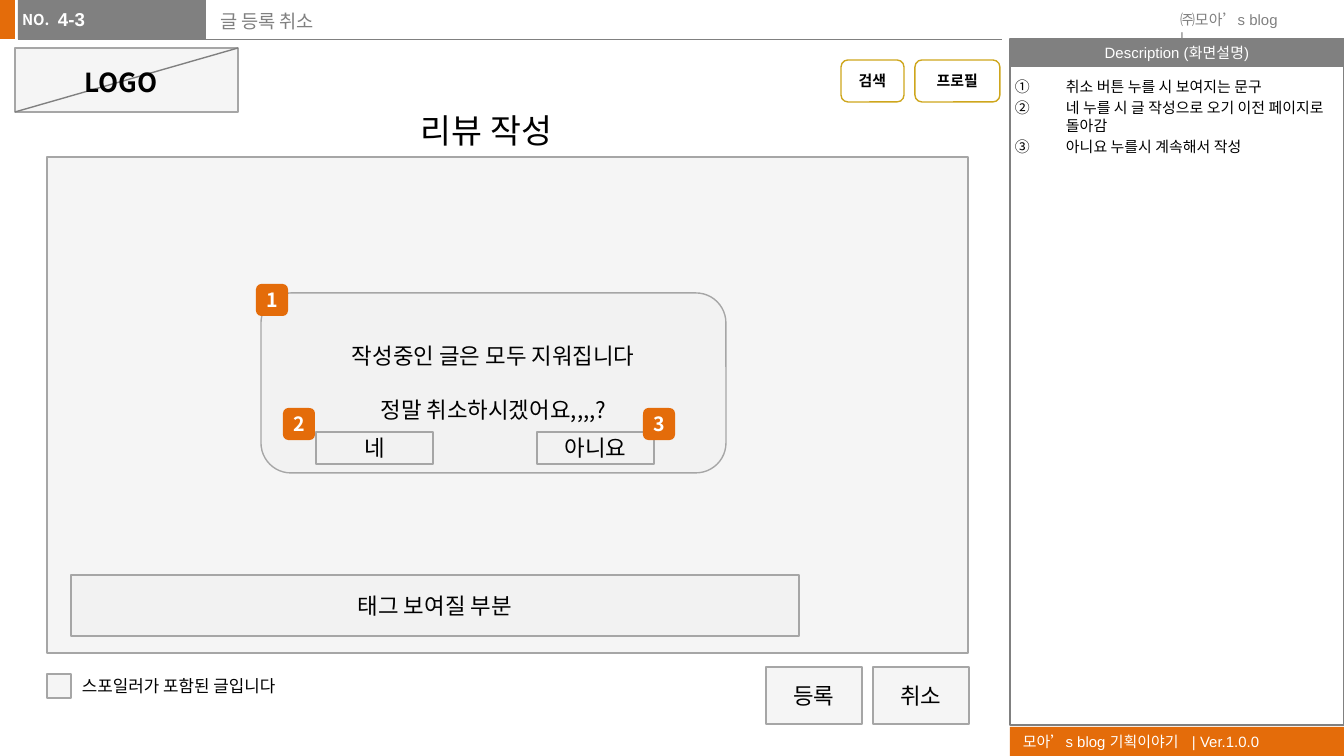
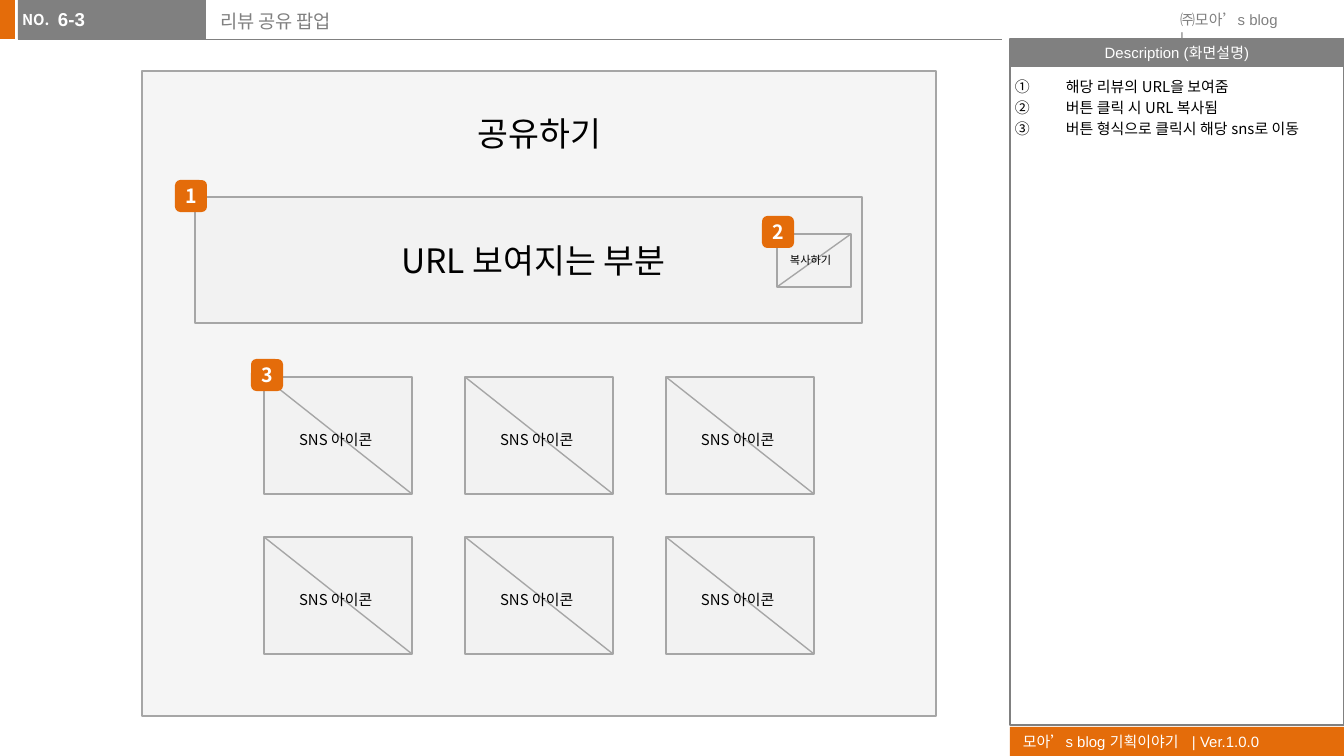
from lxml import etree
from pptx import Presentation
from pptx.dml.color import RGBColor
from pptx.enum.shapes import MSO_CONNECTOR, MSO_SHAPE
from pptx.enum.text import MSO_ANCHOR, MSO_AUTO_SIZE, PP_ALIGN
from pptx.oxml.ns import qn
from pptx.util import Pt

PX = 914400 / 134.4
WIDTH, HEIGHT = 1344, 756
LEFT, CENTER = PP_ALIGN.LEFT, PP_ALIGN.CENTER
TOP, MIDDLE = MSO_ANCHOR.TOP, MSO_ANCHOR.MIDDLE
NO_FIT, GROW = MSO_AUTO_SIZE.NONE, MSO_AUTO_SIZE.SHAPE_TO_FIT_TEXT
RECT, ROUND = MSO_SHAPE.RECTANGLE, MSO_SHAPE.ROUNDED_RECTANGLE
STRAIGHT = MSO_CONNECTOR.STRAIGHT
TWO_CONTENT = 3

ORANGE = RGBColor(0xE4, 0x6C, 0x0A)
GRAY = RGBColor(0x80, 0x80, 0x80)
PALE = RGBColor(0xF2, 0xF2, 0xF2)
EDGE = RGBColor(0xA6, 0xA6, 0xA6)
GOLD = RGBColor(0xCE, 0xA6, 0x1D)
BLACK = RGBColor(0, 0, 0)
WHITE = RGBColor(0xFF, 0xFF, 0xFF)
KOREAN, LATIN = "Noto Sans CJK KR", "Arial"

DESC_LEFT, DESC_WIDTH = 1010, 334
BADGE = 32


def emu(px):
    return round(px * PX)


def emus(*lengths):
    return [emu(px) for px in lengths]


class Wireframe:
    """Holds the presentation, the shared style and the current slide."""

    def __init__(self):
        self.prs = Presentation()
        self.prs.slide_width, self.prs.slide_height = emus(WIDTH, HEIGHT)
        self.s = None

    def new_slide(self, number, title, notes):
        self.s = self.prs.slides.add_slide(self.prs.slide_layouts[TWO_CONTENT])
        self.frame()
        self.placeholder(1, (DESC_LEFT, 71, DESC_WIDTH, 656), notes, 8, BLACK,
                         insets=(5, 7, 0, 7), numbered=True)
        self.placeholder(0, (207, 3, 794, 43), [title], 10, GRAY)
        self.placeholder(2, (58, 1, 148, 42), [number], 10, WHITE,
                         font=LATIN, bold=True, insets=(0, 7, 0, 7))

    def frame(self):
        """Header, description panel and footer found on every slide."""
        self.shape((0, 0, 15, 39), fill=ORANGE)
        footer = self.shape((DESC_LEFT, 727, DESC_WIDTH, 29), "모아’s blog 기획이야기\t| Ver.1.0.0",
                            size=8, color=WHITE, font=LATIN, align=LEFT, fill=ORANGE)
        pPr = footer.text_frame.paragraphs[0]._p.get_or_add_pPr()
        tabs = etree.SubElement(pPr, qn("a:tabLst"))
        etree.SubElement(tabs, qn("a:tab"), pos=str(emu(169)), algn="l")
        self.line((18, 39), (1002, 39), GRAY, 0.5)
        self.shape((18, 0, 188, 39), fill=GRAY)
        self.text((9, 4, 55, 32), "NO.", 8, WHITE, bold=True, wrap=False)
        self.text((1167, 4, 128, 32), "㈜모아’s blog |", 8, GRAY, font=LATIN, wrap=False)
        self.shape((DESC_LEFT, 39, DESC_WIDTH, 28), "Description (화면설명)",
                   size=8, color=WHITE, font=LATIN, fill=GRAY)
        self.shape((DESC_LEFT, 39, DESC_WIDTH, 686), edge=GRAY)

    def fill_text(self, tf, lines, size, color, font=KOREAN, bold=False, align=LEFT,
                  anchor=TOP, gap=0, insets=(13, 7, 13, 7)):
        tf.word_wrap = True
        tf.vertical_anchor = anchor
        tf.margin_left, tf.margin_top, tf.margin_right, tf.margin_bottom = emus(*insets)
        tf.text = "\n".join(lines)
        for i, p in enumerate(tf.paragraphs):
            p.alignment = align
            p.space_before = Pt(gap if i else 0)
            for r in p.runs:
                r.font.name, r.font.size, r.font.bold = font, Pt(size), bold
                r.font.color.rgb = color
                etree.SubElement(r._r.get_or_add_rPr(), qn("a:ea"), typeface=KOREAN)

    def placeholder(self, idx, box, lines, size, color, numbered=False, **style):
        """Fill a template placeholder and bring it in front of the frame."""
        sp = self.s.placeholders[idx]
        sp.left, sp.top, sp.width, sp.height = emus(*box)
        self.fill_text(sp.text_frame, lines, size, color, gap=1.6, **style)
        sp.text_frame.auto_size = NO_FIT
        for p in sp.text_frame.paragraphs:
            pPr = p._p.get_or_add_pPr()
            indent = emu(51) if numbered else 0
            pPr.set("marL", str(indent))
            pPr.set("indent", str(-indent))
            if numbered:
                etree.SubElement(pPr, qn("a:buFont"), typeface=KOREAN)
                etree.SubElement(pPr, qn("a:buAutoNum"), type="circleNumDbPlain")
            else:
                etree.SubElement(pPr, qn("a:buNone"))
        self.s.shapes._spTree.append(sp._element)

    def shape(self, box, *lines, kind=RECT, fill=None, edge=None, width=0.75,
              size=12, color=BLACK, align=CENTER, **style):
        sp = self.s.shapes.add_shape(kind, *emus(*box))
        sp.shadow.inherit = False
        if fill is None:
            sp.fill.background()
        else:
            sp.fill.solid()
            sp.fill.fore_color.rgb = fill
        if edge is None:
            sp.line.fill.background()
        else:
            sp.line.color.rgb = edge
            sp.line.width = Pt(width)
        if lines:
            self.fill_text(sp.text_frame, lines, size, color, align=align,
                           anchor=MIDDLE, **style)
        return sp

    def panel(self, box, *lines, **style):
        """Pale, partly transparent block with a gray edge."""
        sp = self.shape(box, *lines, fill=PALE, edge=EDGE, **style)
        rgb = sp._element.spPr.find(qn("a:solidFill")).find(qn("a:srgbClr"))
        etree.SubElement(rgb, qn("a:alpha"), val="70000")

    def text(self, box, line, size, color=BLACK, wrap=True, **style):
        tf = self.s.shapes.add_textbox(*emus(*box)).text_frame
        self.fill_text(tf, [line], size, color, **style)
        tf.word_wrap = wrap
        tf.auto_size = GROW

    def line(self, start, end, color=EDGE, width=0.75):
        cx = self.s.shapes.add_connector(STRAIGHT, *emus(*start, *end))
        cx.line.color.rgb = color
        cx.line.width = Pt(width)
        etree.SubElement(cx._element.spPr, qn("a:effectLst"))

    def heading(self, box, line):
        self.text(box, line, 18, align=CENTER)

    def badges(self, *corners):
        for number, (x, y) in enumerate(corners, 1):
            self.shape((x, y, BADGE, BADGE), str(number), kind=ROUND, fill=ORANGE,
                       size=10.5, color=WHITE, bold=True, insets=(0, 7, 0, 7))


def cancel_slide(w):
    w.new_slide("4-3", "글 등록 취소", [
        "취소 버튼 누를 시 보여지는 문구",
        "네 누를 시 글 작성으로 오기 이전 페이지로 돌아감",
        "아니요 누를시 계속해서 작성",
    ])
    w.panel((15, 48, 223, 64))
    w.line((238, 48), (15, 112), GRAY)
    w.text((71, 59, 103, 44), "LOGO", 14, bold=True, wrap=False)
    for x, width, label in ((841, 63, "검색"), (915, 85, "프로필")):
        w.shape((x, 60, width, 42), label, kind=ROUND, edge=GOLD, width=0,
                size=8, bold=True)
    w.heading((333, 103, 307, 54), "리뷰 작성")
    w.panel((47, 157, 921, 496))
    w.panel((47, 674, 24, 24))
    w.text((69, 669, 254, 34), "스포일러가 포함된 글입니다", 9)
    for x, label in ((766, "등록"), (873, "취소")):
        w.panel((x, 667, 96, 57), label)
    w.panel((71, 575, 728, 61), "태그 보여질 부분")
    w.panel((261, 293, 465, 180), "작성중인 글은 모두 지워집니다",
            "정말 취소하시겠어요,,,,?", kind=ROUND, gap=14.4)
    for x, label in ((316, "네"), (537, "아니요")):
        w.panel((x, 432, 117, 32), label)
    w.badges((256, 284), (283, 408), (643, 408))


def share_slide(w):
    w.new_slide("6-3", "리뷰 공유 팝업", [
        "해당 리뷰의 URL을 보여줌",
        "버튼 클릭 시 URL 복사됨",
        "버튼 형식으로 클릭시 해당 sns로 이동",
    ])
    w.panel((142, 71, 794, 645))
    w.heading((333, 106, 413, 54), "공유하기")
    w.panel((195, 197, 667, 126))
    w.heading((248, 233, 571, 54), "URL 보여지는 부분")
    w.panel((777, 234, 74, 53))
    w.line((851, 234), (777, 287))
    w.text((777, 247, 74, 27), "복사하기", 6)
    icon_width, icon_height = 148, 117
    for row in range(2):
        for col in range(3):
            x, y = 264 + 201 * col, 377 + 160 * row
            w.panel((x, y, icon_width, icon_height))
            w.line((x, y), (x + icon_width, y + icon_height))
            w.text((x + 22, y + 47, 106, 32), "SNS 아이콘", 8)
    w.badges((175, 180), (762, 216), (251, 359))


def main():
    w = Wireframe()
    cancel_slide(w)
    share_slide(w)
    w.prs.save("out.pptx")


if __name__ == "__main__":
    main()
